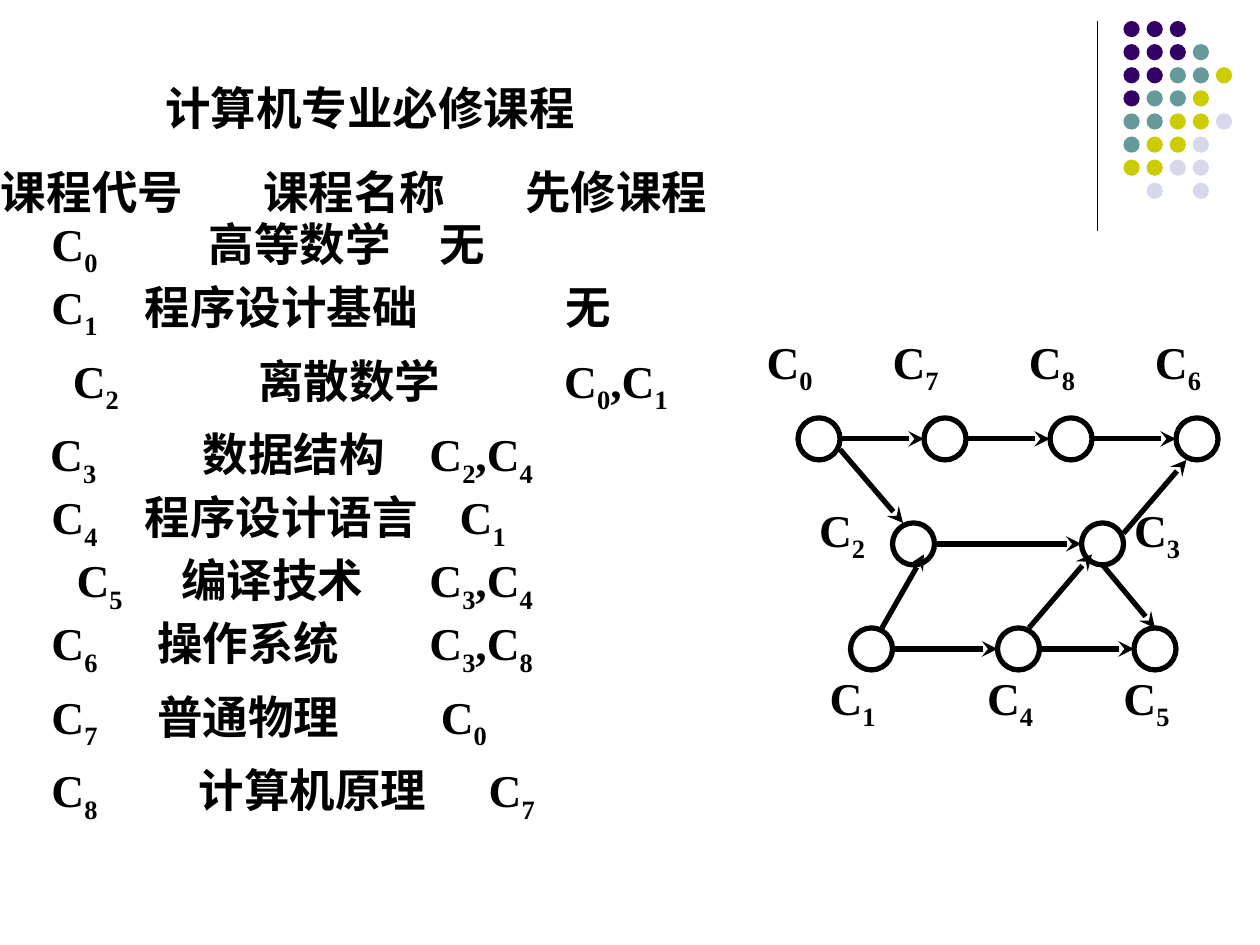
import pptx
import pptx.dml.color
import pptx.enum.shapes
import pptx.enum.text
import pptx.oxml.ns
import pptx.util
import lxml.etree

CJK = "Noto Sans CJK SC"
SERIF = "Times New Roman"
UNIT = pptx.util.Inches(1 / 12)


def color(hex_string):
    return pptx.dml.color.RGBColor.from_string(hex_string)


def write(paragraph, text, font_name=SERIF, subscript=False):
    run = paragraph.add_run()
    run.text = text
    run.font.name = font_name
    run.font.size = pptx.util.Pt(26)
    run.font.bold = True
    run.font.color.rgb = color("000000")
    properties = run.font._element
    east_asian = lxml.etree.SubElement(properties, pptx.oxml.ns.qn("a:ea"))
    east_asian.set("typeface", font_name)
    if subscript:
        properties.set("baseline", "-25000")


presentation = pptx.Presentation()
presentation.slide_width = 120 * UNIT
presentation.slide_height = 90 * UNIT
slide = presentation.slides.add_slide(presentation.slide_layouts[5])
shapes = slide.shapes

divider = shapes.add_connector(
    pptx.enum.shapes.MSO_CONNECTOR.STRAIGHT,
    int(104.5 * UNIT), 2 * UNIT, int(104.5 * UNIT), 22 * UNIT)
divider.line.color.rgb = color("000000")
divider.line.width = pptx.util.Pt(0.75)
lxml.etree.SubElement(divider._element.spPr, pptx.oxml.ns.qn("a:effectLst"))

dot_colors = {"P": "330066", "T": "669999", "Y": "CCCC00", "L": "D8D8EC"}
dot_rows = ["PPP", "PPPT", "PPTTY", "PTTY", "TTYYL", "TYYL", "YYLL", ".L.L"]
for row, letters in enumerate(dot_rows):
    for column, letter in enumerate(letters):
        if letter in dot_colors:
            dot = shapes.add_shape(
                pptx.enum.shapes.MSO_SHAPE.OVAL,
                int((107 + 2.2 * column) * UNIT), int((2 + 2.2 * row) * UNIT),
                int(1.55 * UNIT), int(1.55 * UNIT))
            dot.shadow.inherit = False
            dot.fill.solid()
            dot.fill.fore_color.rgb = color(dot_colors[letter])
            dot.line.fill.background()

title = shapes.title
title.left, title.top = -6 * UNIT, 7 * UNIT
title.width, title.height = int(82.5 * UNIT), int(6.5 * UNIT)
title.text_frame.word_wrap = True
title.text_frame.auto_size = pptx.enum.text.MSO_AUTO_SIZE.NONE
title.text_frame.vertical_anchor = pptx.enum.text.MSO_ANCHOR.TOP
title_paragraph = title.text_frame.paragraphs[0]
title_paragraph.alignment = pptx.enum.text.PP_ALIGN.CENTER
write(title_paragraph, "计算机专业必修课程", CJK)

courses = [
    (15, ["课程代号", "课程名称", "先修课程"], [0.01, 2.09, 4.17]),
    (20, ["C0", "高等数学", "无"], [0.41, 1.66, 3.49]),
    (26, ["C1", "程序设计基础", "无"], [0.41, 1.15, 4.49]),
    (33, ["C2", "离散数学", "C0,C1"], [0.58, 2.05, 4.48]),
    (40, ["C3", "数据结构", "C2,C4"], [0.4, 1.61, 3.41]),
    (46, ["C4", "程序设计语言", "C1"], [0.41, 1.15, 3.65]),
    (52, ["C5", "编译技术", "C3,C4"], [0.61, 1.44, 3.41]),
    (58, ["C6", "操作系统", "C3,C8"], [0.41, 1.25, 3.41]),
    (65, ["C7", "普通物理", "C0"], [0.41, 1.25, 3.5]),
    (72, ["C8", "计算机原理", "C7"], [0.41, 1.58, 3.88]),
]
for top, cells, starts in courses:
    box = shapes.add_textbox(
        pptx.util.Inches(starts[0] - 0.1), top * UNIT, 72 * UNIT, 7 * UNIT)
    box.text_frame.word_wrap = True
    paragraph = box.text_frame.paragraphs[0]
    tabs = lxml.etree.SubElement(
        paragraph._element.get_or_add_pPr(), pptx.oxml.ns.qn("a:tabLst"))
    for start in starts[1:]:
        tab = lxml.etree.SubElement(tabs, pptx.oxml.ns.qn("a:tab"))
        tab.set("pos", str(pptx.util.Inches(start - starts[0])))
        tab.set("algn", "l")
    for column, cell in enumerate(cells):
        if column:
            write(paragraph, "\t", CJK)
        if cell.startswith("C"):
            for position, code in enumerate(cell.split(",")):
                write(paragraph, ",C" if position else "C")
                write(paragraph, code[1:], subscript=True)
        else:
            write(paragraph, cell, CJK)

nodes = {
    "0": (76, 39.8, 73, 31.8), "7": (88, 39.8, 85, 31.8),
    "8": (100, 39.8, 98, 31.8), "6": (112, 39.8, 110, 31.8),
    "2": (85, 49.8, 78, 47.8), "3": (103, 49.8, 108, 47.8),
    "1": (81, 59.8, 79, 63.8), "4": (95, 59.8, 94, 63.8),
    "5": (108, 59.8, 107, 63.8),
}
for number, (left, top, label_left, label_top) in nodes.items():
    node = shapes.add_shape(
        pptx.enum.shapes.MSO_SHAPE.OVAL,
        left * UNIT, int(top * UNIT), 4 * UNIT, 4 * UNIT)
    node.shadow.inherit = False
    node.fill.background()
    node.line.color.rgb = color("000000")
    node.line.width = pptx.util.Pt(3)
    label = shapes.add_textbox(
        label_left * UNIT, int(label_top * UNIT), 8 * UNIT, 6 * UNIT)
    frame = label.text_frame
    frame.word_wrap = True
    frame.margin_left = frame.margin_right = 0
    frame.margin_top = frame.margin_bottom = 0
    write(frame.paragraphs[0], "C")
    write(frame.paragraphs[0], number, subscript=True)

edges = [
    (80, 42.8, 86, 49.8), (84, 59.8, 88, 52.8), (98, 59.8, 104, 52.8),
    (107, 50.8, 113, 43.8), (105, 53.8, 110, 59.8),
]
for source, target in ["07", "78", "86", "23", "14", "45"]:
    middle = nodes[source][1] + 2
    edges.append((nodes[source][0] + 4, middle, nodes[target][0], middle))
for edge in edges:
    arrow = shapes.add_connector(
        pptx.enum.shapes.MSO_CONNECTOR.STRAIGHT,
        *[int(value * UNIT) for value in edge])
    arrow.line.color.rgb = color("000000")
    arrow.line.width = pptx.util.Pt(3)
    head = lxml.etree.SubElement(
        arrow.line._get_or_add_ln(), pptx.oxml.ns.qn("a:tailEnd"))
    head.set("type", "stealth")
    lxml.etree.SubElement(arrow._element.spPr, pptx.oxml.ns.qn("a:effectLst"))

presentation.save("out.pptx")
